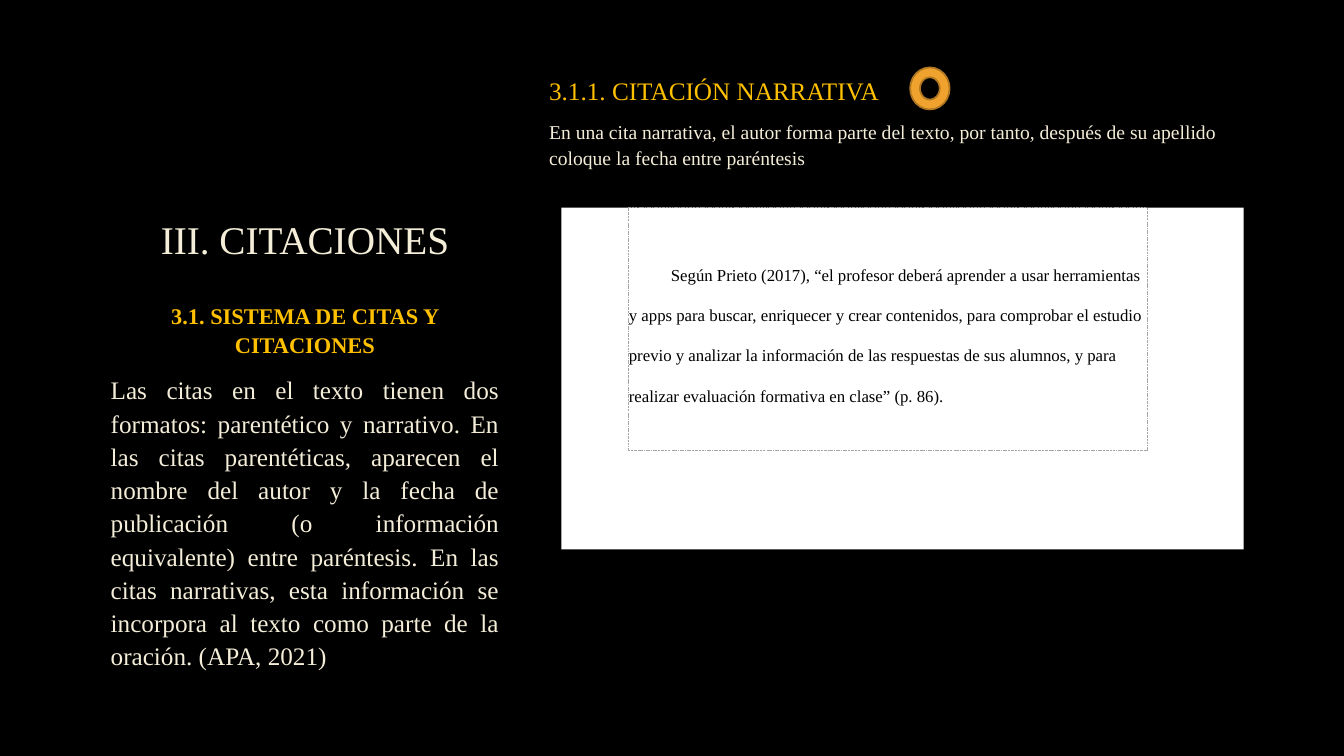
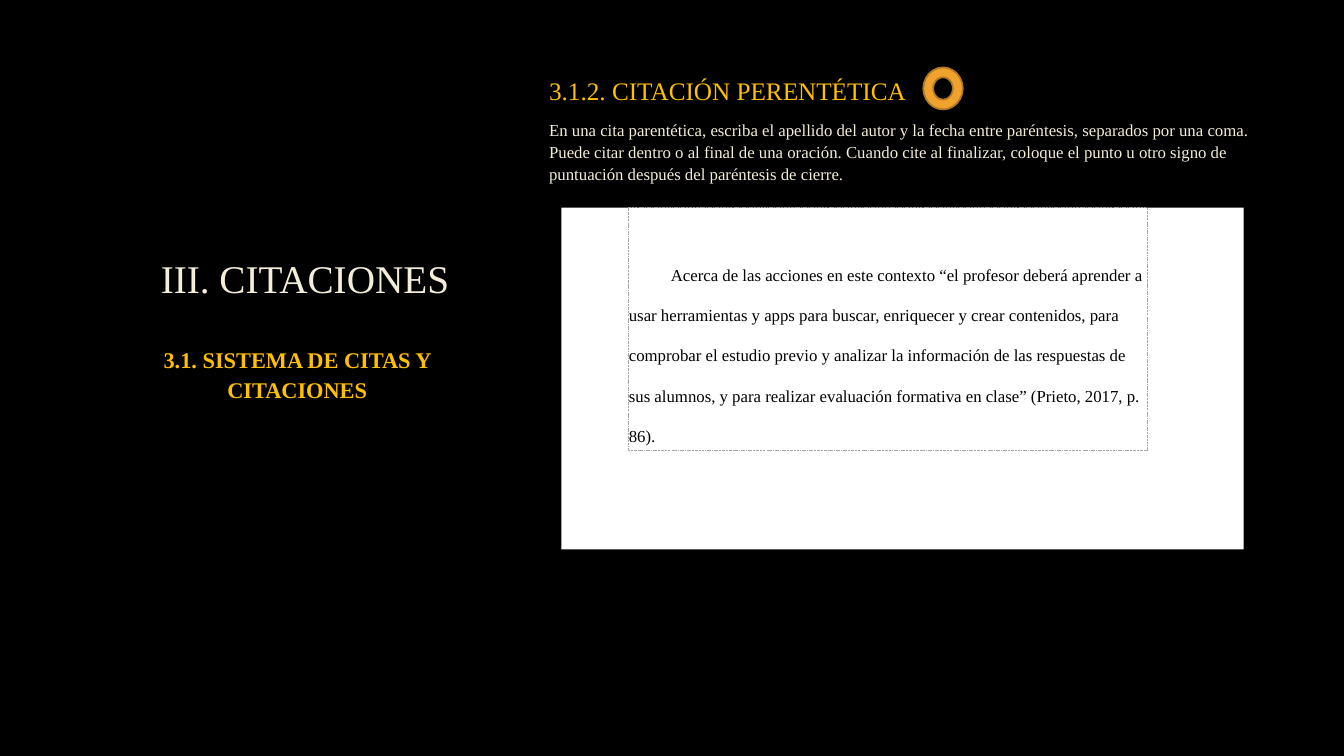
from dataclasses import dataclass

from pptx import Presentation
from pptx.dml.color import RGBColor
from pptx.enum.dml import MSO_LINE
from pptx.enum.shapes import MSO_SHAPE
from pptx.enum.text import MSO_ANCHOR, PP_ALIGN
from pptx.util import Pt

LEFT, MID, JUST = PP_ALIGN.LEFT, PP_ALIGN.CENTER, PP_ALIGN.JUSTIFY
TOP, BOTTOM = MSO_ANCHOR.TOP, MSO_ANCHOR.BOTTOM
RECT, DONUT = MSO_SHAPE.RECTANGLE, MSO_SHAPE.DONUT
DASH = MSO_LINE.DASH_DOT_DOT


@dataclass(frozen=True)
class Theme:
    font: str = "Times New Roman"
    back: str = "000000"
    cream: str = "F4EDD8"
    gold: str = "FFC000"
    paper: str = "FFFFFF"
    ink: str = "000000"
    frame: str = "A6A6A6"
    ring: str = "F0A22E"
    rim: str = "B27822"
    title: int = 28
    head: int = 18
    sub: int = 16
    body: int = 14
    small: int = 12


T = Theme()


def rgb(code):
    return RGBColor.from_string(code)


def add_text(slide, box, anchor=TOP, pad=(7.2, 3.6)):
    """Add an empty text box; pad is its left/right and top/bottom inset."""
    frame = slide.shapes.add_textbox(*map(Pt, box)).text_frame
    frame.word_wrap = True
    frame.vertical_anchor = anchor
    frame.margin_left = frame.margin_right = Pt(pad[0])
    frame.margin_top = frame.margin_bottom = Pt(pad[1])
    return frame


def add_para(frame, text, size, color, align=LEFT, bold=False, line=1.1, gap=True):
    """Fill the first paragraph if it is empty, otherwise append one."""
    para = frame.paragraphs[0]
    if para.text:
        para = frame.add_paragraph()
    para.text = text
    para.alignment = align
    para.line_spacing = line
    if gap:
        para.space_before = Pt(0.2 * size)
        para.space_after = Pt(6)
    font = para.font
    font.name, font.size, font.bold = T.font, Pt(size), bold
    font.color.rgb = rgb(color)
    return para


def add_form(slide, kind, box, fill=None, line=None, width=1.0):
    form = slide.shapes.add_shape(kind, *map(Pt, box))
    form.shadow.inherit = False
    if fill:
        form.fill.solid()
        form.fill.fore_color.rgb = rgb(fill)
    else:
        form.fill.background()
    if line:
        form.line.color.rgb = rgb(line)
        form.line.width = Pt(width)
    else:
        form.line.fill.background()
    return form


def add_topic(slide, box, shift, text=None):
    """Left column: title, then section name and optional text at shift."""
    x, y, w, h = box
    title = add_text(slide, (x, y, w, 143.2), BOTTOM)
    add_para(title, "III. CITACIONES", T.title, T.cream, MID, line=0.9, gap=False)
    dx, dy = shift
    body = add_text(slide, (x + dx, y + dy, w, h - dy))
    add_para(body, "3.1. SISTEMA DE CITAS Y CITACIONES", T.sub, T.gold, MID, True)
    if text:
        add_para(body, text, T.head, T.cream, JUST)


def add_quote(slide, box, text):
    """White card with a dashed frame around the sample quotation."""
    x, y, w, h = box
    add_form(slide, RECT, box, T.paper)
    quote = add_text(slide, (x + 48.2, y + 26.2, 370, 144), pad=(0, 0))
    para = add_para(quote, text, T.small, T.ink, line=2.0, gap=False)
    para._p.get_or_add_pPr().set("indent", str(Pt(30)))
    frame = add_form(slide, RECT, (x + 47.6, y, 370.8, 173.5), None, T.frame, 0.25)
    frame.line.dash_style = DASH


def add_case(slide, box, head, text, size, quote, ring):
    """Right column: heading with ring, explanation and sample quotation."""
    x, y, w, h = box
    intro = add_text(slide, (x, y, w, 100), pad=(9.8, 3.6))
    add_para(intro, head, T.head, T.gold)
    add_para(intro, text, size, T.cream)
    add_quote(slide, (x + 18.6, y + 100.1, 487.4, h - 100.1), quote)
    add_form(slide, DONUT, (x + ring, y, 28.2, 30), T.ring, T.rim, 1.25)


SLIDES = (
    dict(
        topic=dict(
            box=(72, 48.2, 291.6, 463.7),
            shift=(0, 162),
            text="Las citas en el texto tienen dos formatos: parentético y narrativo. "
            "En las citas parentéticas, aparecen el nombre del autor y la fecha de "
            "publicación (o información equivalente) entre paréntesis. En las citas "
            "narrativas, esta información se incorpora al texto como parte de la "
            "oración. (APA, 2021)",
        ),
        case=dict(
            box=(382.4, 48.2, 504.7, 344.2),
            head="3.1.1. CITACIÓN NARRATIVA",
            text="En una cita narrativa, el autor forma parte del texto, por tanto, "
            "después de su apellido coloque la fecha entre paréntesis",
            size=T.body,
            quote="Según Prieto (2017), “el profesor deberá aprender a usar "
            "herramientas y apps para buscar, enriquecer y crear contenidos, para "
            "comprobar el estudio previo y analizar la información de las respuestas "
            "de sus alumnos, y para realizar evaluación formativa en clase” (p. 86).",
            ring=267.7,
        ),
    ),
    dict(
        topic=dict(box=(72, 76.3, 291.6, 246.3), shift=(-5.5, 165.6)),
        case=dict(
            box=(382.4, 48.2, 524.9, 344.2),
            head="3.1.2. CITACIÓN PERENTÉTICA",
            text="En una cita parentética, escriba el apellido del autor y la fecha "
            "entre paréntesis, separados por una coma. Puede citar dentro o al final "
            "de una oración. Cuando cite al finalizar, coloque el punto u otro signo "
            "de puntuación después del paréntesis de cierre.",
            size=T.small,
            quote="Acerca de las acciones en este contexto “el profesor deberá "
            "aprender a usar herramientas y apps para buscar, enriquecer y crear "
            "contenidos, para comprobar el estudio previo y analizar la información "
            "de las respuestas de sus alumnos, y para realizar evaluación formativa "
            "en clase” (Prieto, 2017, p. 86).",
            ring=277.1,
        ),
    ),
)


def main():
    deck = Presentation()
    deck.slide_width, deck.slide_height = Pt(960), Pt(540)
    for data in SLIDES:
        slide = deck.slides.add_slide(deck.slide_layouts[6])
        slide.background.fill.solid()
        slide.background.fill.fore_color.rgb = rgb(T.back)
        add_topic(slide, **data["topic"])
        add_case(slide, **data["case"])
    deck.save("out.pptx")


if __name__ == "__main__":
    main()
